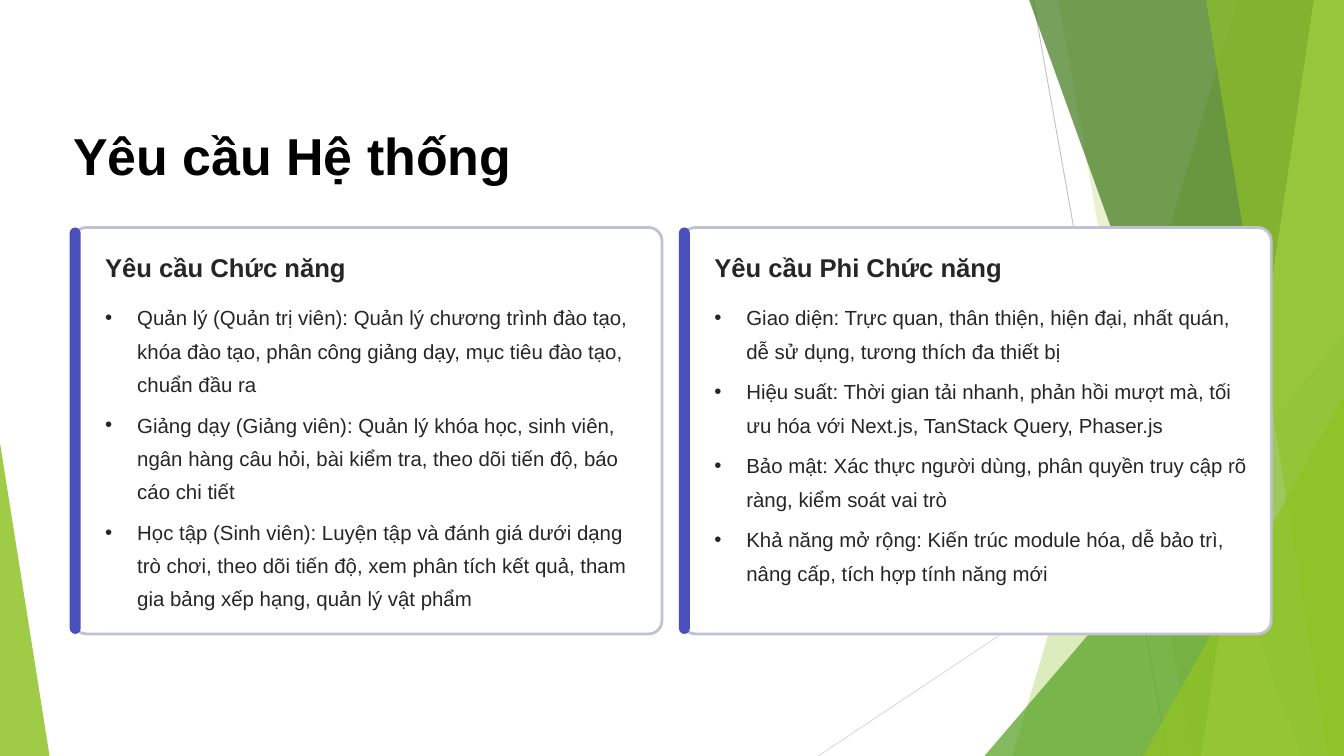
import lxml.etree
import pptx
import pptx.dml.color
import pptx.enum.shapes
import pptx.oxml.ns
import pptx.util

Cm, Pt = pptx.util.Cm, pptx.util.Pt
RGBColor = pptx.dml.color.RGBColor
SHAPES = pptx.enum.shapes.MSO_SHAPE
qn = pptx.oxml.ns.qn

# Content
TITLE = "Yêu cầu Hệ thống"
CARDS = [
    ("Yêu cầu Chức năng", [
        "Quản lý (Quản trị viên): Quản lý chương trình đào tạo, khóa đào tạo, "
        "phân công giảng dạy, mục tiêu đào tạo, chuẩn đầu ra",
        "Giảng dạy (Giảng viên): Quản lý khóa học, sinh viên, ngân hàng câu hỏi, "
        "bài kiểm tra, theo dõi tiến độ, báo cáo chi tiết",
        "Học tập (Sinh viên): Luyện tập và đánh giá dưới dạng trò chơi, theo dõi "
        "tiến độ, xem phân tích kết quả, tham gia bảng xếp hạng, quản lý vật phẩm",
    ]),
    ("Yêu cầu Phi Chức năng", [
        "Giao diện: Trực quan, thân thiện, hiện đại, nhất quán, dễ sử dụng, "
        "tương thích đa thiết bị",
        "Hiệu suất: Thời gian tải nhanh, phản hồi mượt mà, tối ưu hóa với "
        "Next.js, TanStack Query, Phaser.js",
        "Bảo mật: Xác thực người dùng, phân quyền truy cập rõ ràng, "
        "kiểm soát vai trò",
        "Khả năng mở rộng: Kiến trúc module hóa, dễ bảo trì, nâng cấp, "
        "tích hợp tính năng mới",
    ]),
]

# Colours
BLACK = RGBColor(0x00, 0x00, 0x00)
INK = RGBColor(0x27, 0x25, 0x25)
WHITE = RGBColor(0xFF, 0xFF, 0xFF)
INDIGO = RGBColor(0x49, 0x50, 0xBC)
LAVENDER = RGBColor(0xC0, 0xC1, 0xD7)
GREY = RGBColor(0xBF, 0xBF, 0xBF)
LIGHT_GREY = RGBColor(0xD9, 0xD9, 0xD9)
LIME = RGBColor(0x90, 0xC2, 0x26)
LEAF = RGBColor(0x54, 0xA0, 0x21)
FOREST = RGBColor(0x3F, 0x78, 0x19)
PALE_LIME = RGBColor(0xC0, 0xE4, 0x74)

# Sizes in centimetres
WIDTH, HEIGHT = 40.64, 22.86
CARD_LEFT, CARD_TOP, CARD_WIDTH, CARD_HEIGHT = 2.21, 6.88, 17.81, 12.29
CARD_STEP = 18.42
TEXT_INSET, TEXT_WIDTH, BULLET_INDENT = 0.97, 16.13, 0.97

# Background: hairlines as x1, y1, x2, y2, colour
HAIRLINES = [
    (31.24, 0, 35.31, HEIGHT, GREY),
    (WIDTH, 12.27, 24.74, HEIGHT, LIGHT_GREY),
]
# Bands reach the right edge: (top x, bottom x)
# Triangles stand on the bottom edge: (left, top, width, apex)
FACETS = [
    ((37.41, 30.61), LIME, 30),
    ((32, 36.04), LIME, 20),
    ((29.77, 10.16, 10.87, 1), LEAF, 72),
    ((31.12, 39.34), FOREST, 70),
    ((39.73, 36.32), PALE_LIME, 70),
    ((36.47, 40.16), LIME, 65),
    ((34.57, 11.96, 6.07, 1), LIME, 80),
    ((0, 13.39, 1.5, 0), LIME, 85),
]

deck = pptx.Presentation()
deck.slide_width, deck.slide_height = Cm(WIDTH), Cm(HEIGHT)
slide = deck.slides.add_slide(deck.slide_layouts[6])


def paint(shape, color, opacity=100):
    shape.shadow.inherit = False
    shape.fill.solid()
    shape.fill.fore_color.rgb = color
    shape.line.fill.background()
    if opacity < 100:
        rgb = shape.fill._xPr.find(".//" + qn("a:srgbClr"))
        lxml.etree.SubElement(rgb, qn("a:alpha"), val=str(opacity * 1000))


def add_hairline(x1, y1, x2, y2, color):
    hairline = slide.shapes.add_connector(
        pptx.enum.shapes.MSO_CONNECTOR.STRAIGHT, Cm(x1), Cm(y1), Cm(x2), Cm(y2))
    hairline.line.color.rgb = color
    hairline.line.width = Pt(0.75)
    lxml.etree.SubElement(hairline._element.spPr, qn("a:effectLst"))


def add_band(top_x, bottom_x):
    outline = slide.shapes.build_freeform(Cm(top_x), 0)
    outline.add_line_segments([(Cm(WIDTH), 0), (Cm(WIDTH), Cm(HEIGHT)),
                               (Cm(bottom_x), Cm(HEIGHT))], close=True)
    return outline.convert_to_shape()


def add_preset(kind, left, top, width, height, adjustment):
    shape = slide.shapes.add_shape(kind, Cm(left), Cm(top), Cm(width), Cm(height))
    shape.adjustments[0] = adjustment
    return shape


def add_text(lines, left, top, width, height, size, line_height, color,
             bold=False, wrap=False, gap=0, bulleted=False):
    box = slide.shapes.add_textbox(Cm(left), Cm(top), Cm(width), Cm(height))
    frame = box.text_frame
    frame.word_wrap = wrap
    frame.margin_left = frame.margin_right = frame.margin_top = frame.margin_bottom = 0
    for i, line in enumerate(lines):
        paragraph = frame.add_paragraph() if i else frame.paragraphs[0]
        paragraph.line_spacing = Pt(line_height)
        paragraph.space_after = Pt(gap)
        if bulleted:
            properties = paragraph._p.get_or_add_pPr()
            properties.set("marL", str(Cm(BULLET_INDENT)))
            properties.set("indent", str(-Cm(BULLET_INDENT)))
            lxml.etree.SubElement(properties, qn("a:buFont"), typeface="Arial")
            lxml.etree.SubElement(properties, qn("a:buChar"), char="•")
        run = paragraph.add_run()
        run.text = line
        run.font.name = "Arial"
        run.font.size = Pt(size)
        run.font.bold = bold
        run.font.color.rgb = color


# Background
for hairline in HAIRLINES:
    add_hairline(*hairline)
for geometry, color, opacity in FACETS:
    if len(geometry) == 2:
        facet = add_band(*geometry)
    else:
        left, top, width, apex = geometry
        facet = add_preset(SHAPES.ISOSCELES_TRIANGLE, left, top, width,
                           HEIGHT - top, apex)
    paint(facet, color, opacity)

# Title
add_text([TITLE], CARD_LEFT, 3.66, 15.75, 1.98, 44.5, 55.5, BLACK, bold=True)

# Cards
for column, (heading, requirements) in enumerate(CARDS):
    left = CARD_LEFT + column * CARD_STEP
    card = add_preset(SHAPES.ROUNDED_RECTANGLE, left, CARD_TOP,
                      CARD_WIDTH, CARD_HEIGHT, 0.033)
    paint(card, WHITE)
    card.line.color.rgb = LAVENDER
    card.line.width = Pt(2.4)
    accent = add_preset(SHAPES.ROUNDED_RECTANGLE, left - 0.1, CARD_TOP,
                        0.33, CARD_HEIGHT, 0.5)
    paint(accent, INDIGO)
    add_text([heading], left + TEXT_INSET, 7.59, 8.8, 0.99, 22, 27.5, INK, bold=True)
    add_text(requirements, left + TEXT_INSET, 8.97, TEXT_WIDTH, 9.5, 17.5, 28.5, INK,
             wrap=True, gap=6.5, bulleted=True)

deck.save("out.pptx")
